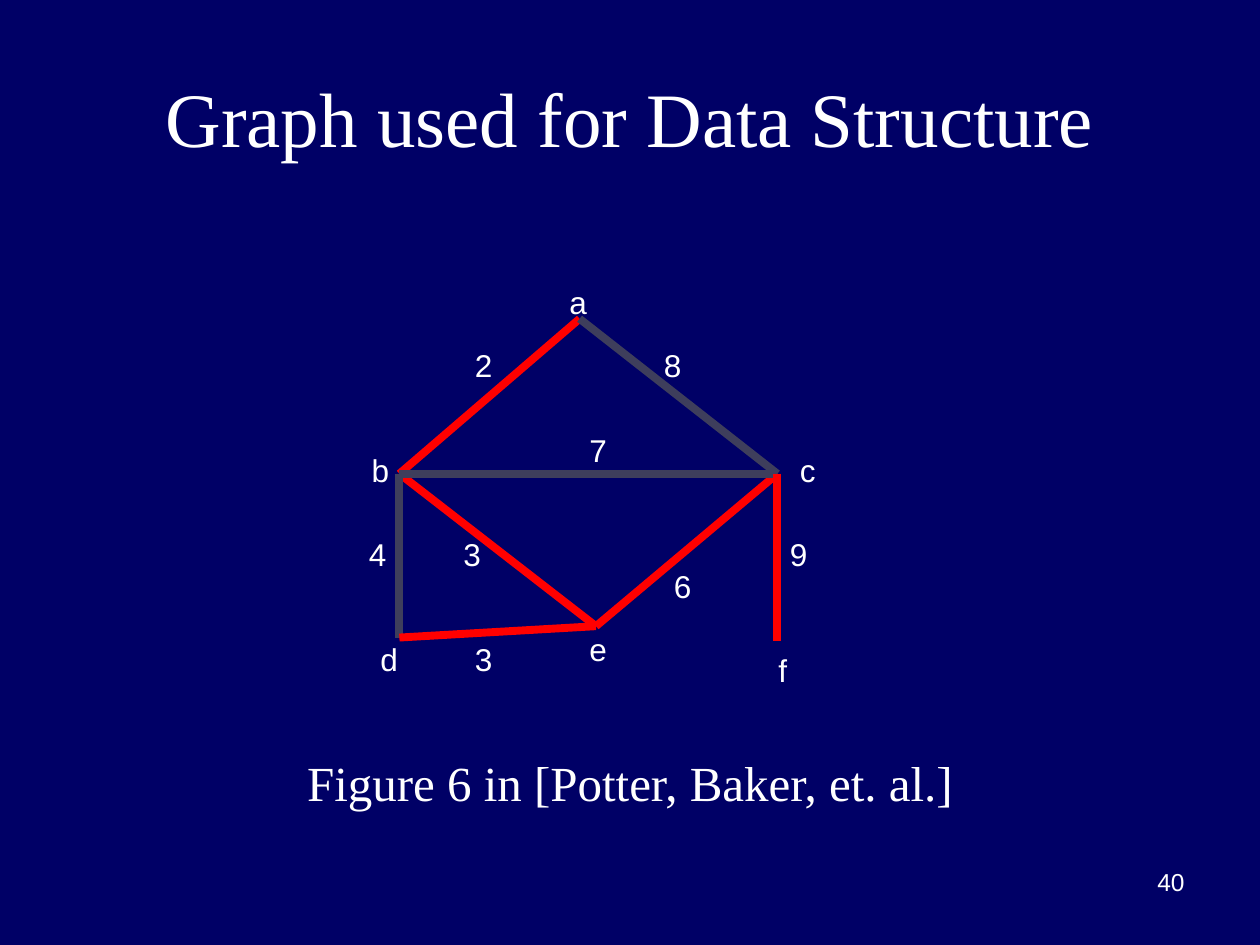
from lxml.etree import SubElement
from pptx import Presentation
from pptx.dml.color import RGBColor
from pptx.enum.shapes import MSO_CONNECTOR
from pptx.enum.text import MSO_ANCHOR, PP_ALIGN
from pptx.oxml.ns import qn
from pptx.util import Inches, Pt

NAVY = RGBColor(0x00, 0x00, 0x66)
WHITE = RGBColor(0xFF, 0xFF, 0xFF)
RED = RGBColor(0xFF, 0x00, 0x00)
SLATE = RGBColor(0x3E, 0x3E, 0x5C)
SERIF, SANS = "Times New Roman", "Arial"

TITLE = "Graph used for Data Structure"
CAPTION = "Figure 6 in [Potter, Baker, et. al.]"
PAGE_NUMBER = "40"

# Vertex: point, then the top left corner of its label
VERTICES = {
    "a": ((4.6, 2.53), (4.42, 2.2)),
    "b": ((3.17, 3.76), (2.85, 3.53)),
    "c": ((6.17, 3.76), (6.25, 3.53)),
    "d": ((3.17, 5.06), (2.92, 5.03)),
    "e": ((4.73, 4.97), (4.58, 4.95)),
    "f": ((6.17, 5.09), (6.08, 5.12)),
}
# Edge: ends, weight, colour, top left corner of the weight
EDGES = [
    ("ba", "2", RED, (3.67, 2.7)),
    ("ac", "8", SLATE, (5.17, 2.7)),
    ("be", "3", RED, (3.58, 4.2)),
    ("ec", "6", RED, (5.25, 4.45)),
    ("bc", "7", SLATE, (4.58, 3.37)),
    ("bd", "4", SLATE, (2.83, 4.2)),
    ("cf", "9", RED, (6.17, 4.2)),
    ("de", "3", RED, (3.67, 5.03)),
]
LABEL_SIZE = (0.31, 0.4)


def write(shape, text, size, font_name, align=PP_ALIGN.LEFT, anchor=MSO_ANCHOR.TOP):
    """Put one formatted white paragraph in a shape and return it."""
    frame = shape.text_frame
    frame.word_wrap = True
    frame.vertical_anchor = anchor
    paragraph = frame.paragraphs[0]
    paragraph.alignment = align
    run = paragraph.add_run()
    run.text = text
    for name, value in {"size": Pt(size), "name": font_name}.items():
        setattr(run.font, name, value)
    run.font.color.rgb = WHITE
    return paragraph


def place(shape, left, top, width, height):
    """Move and size a shape, in inches."""
    box = {"left": left, "top": top, "width": width, "height": height}
    for name, value in box.items():
        setattr(shape, name, Inches(value))


def add_label(shapes, text, corner):
    """Add a vertex name or an edge weight."""
    box = shapes.add_textbox(*map(Inches, corner + LABEL_SIZE))
    write(box, text, 18, SANS)


def add_edge(shapes, ends, colour):
    """Join two vertices with a thick line."""
    start, finish = (VERTICES[name][0] for name in ends)
    line = shapes.add_connector(MSO_CONNECTOR.STRAIGHT, *map(Inches, start + finish))
    line.line.color.rgb = colour
    line.line.width = Pt(4.5)
    SubElement(line._element.spPr, qn("a:effectLst"))


presentation = Presentation()
presentation.slide_width, presentation.slide_height = Inches(10), Inches(7.5)
slide = presentation.slides.add_slide(presentation.slide_layouts[1])
slide.background.fill.solid()
slide.background.fill.fore_color.rgb = NAVY

title, body = slide.placeholders
place(title, 0.5, 0.3, 9, 1.25)
write(title, TITLE, 44, SERIF, PP_ALIGN.CENTER, MSO_ANCHOR.MIDDLE)

place(body, 0.5, 5.92, 9, 0.78)
caption = write(body, CAPTION, 28, SERIF, PP_ALIGN.CENTER)
SubElement(caption._p.get_or_add_pPr(), qn("a:buNone"))

number = slide.shapes.add_textbox(*map(Inches, (7.17, 6.83, 2.33, 0.52)))
write(number, PAGE_NUMBER, 14, SANS, PP_ALIGN.RIGHT)

graph = slide.shapes.add_group_shape().shapes
for ends, weight, colour, corner in EDGES:
    add_edge(graph, ends, colour)
for name, (point, corner) in VERTICES.items():
    add_label(graph, name, corner)
for ends, weight, colour, corner in EDGES:
    add_label(graph, weight, corner)

presentation.save("out.pptx")
